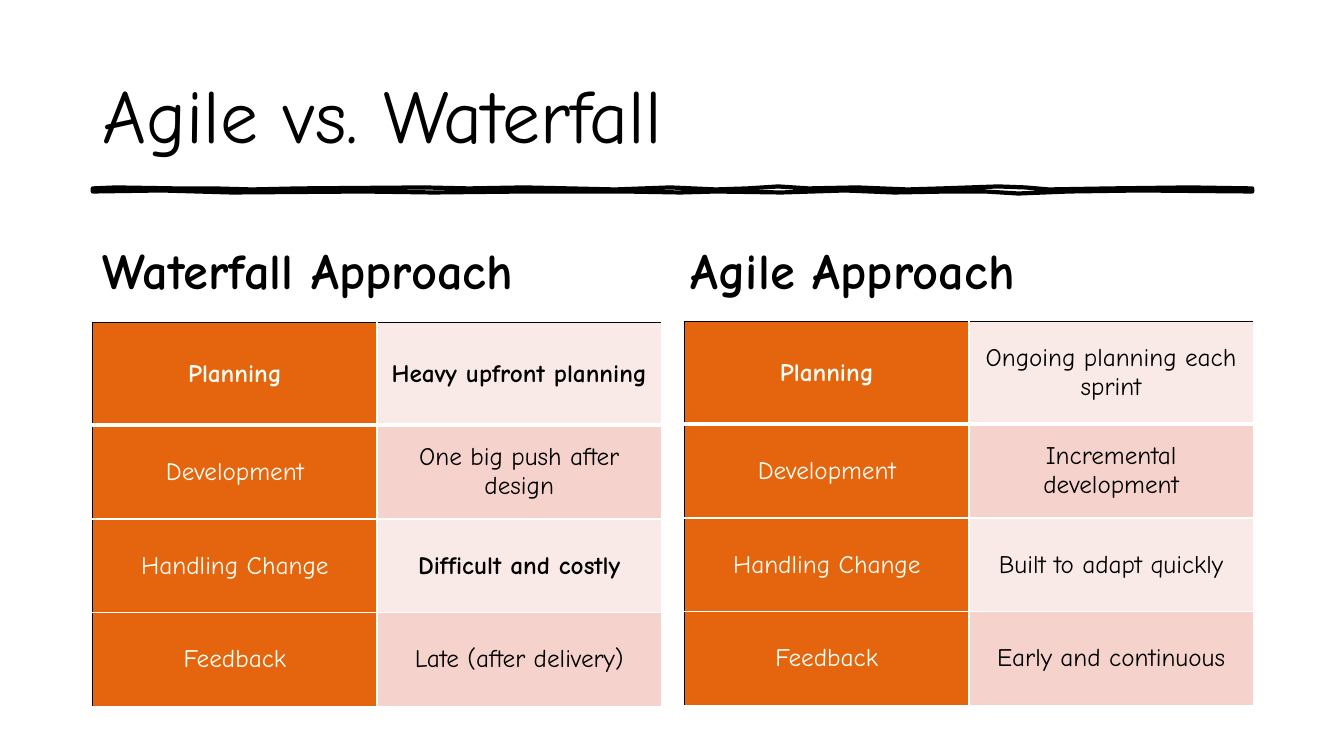
from lxml.etree import SubElement
from pptx import Presentation
from pptx.dml.color import RGBColor
from pptx.enum.text import MSO_ANCHOR as ANCHOR, PP_ALIGN as ALIGN
from pptx.oxml.ns import qn
from pptx.util import Inches, Pt

FONT = "Comic Neue"
BLACK = RGBColor(0x00, 0x00, 0x00)
WHITE = RGBColor(0xFF, 0xFF, 0xFF)
CREAM = RGBColor(0xFD, 0xFF, 0xF7)
ORANGE = RGBColor(0xE4, 0x65, 0x0E)
BANDS = [RGBColor(0xFA, 0xEA, 0xE7), RGBColor(0xF5, 0xD3, 0xCC)]

TOPICS = ["Planning", "Development", "Handling Change", "Feedback"]
BOLD = {"Planning", "Heavy upfront planning", "Difficult and costly"}
# heading, heading left, heading width, table left, table top, answers
APPROACHES = [
    ("Waterfall Approach", 0.92, 5.64, 0.92, 3.2,
     ["Heavy upfront planning", "One big push after design",
      "Difficult and costly", "Late (after delivery)"]),
    ("Agile Approach", 6.75, 5.67, 6.79, 3.19,
     ["Ongoing planning each sprint", "Incremental development",
      "Built to adapt quickly", "Early and continuous"]),
]
# Upper edge left to right, then lower edge right to left
RULE = [
    (0.92, 1.87), (1.15, 1.86), (1.75, 1.87), (2.12, 1.87), (2.5, 1.88),
    (2.96, 1.87), (4.2, 1.86), (4.65, 1.87), (5.2, 1.86), (5.65, 1.87),
    (6.1, 1.88), (6.65, 1.86), (7.1, 1.88), (7.41, 1.87), (7.72, 1.85),
    (8.02, 1.87), (8.5, 1.86), (9, 1.88), (9.34, 1.87), (9.9, 1.85),
    (10.17, 1.86), (10.4, 1.88), (11.01, 1.87), (11.8, 1.86), (12.42, 1.87),
    (12.42, 1.9), (11.3, 1.89), (10.6, 1.9), (10.1, 1.92), (9.77, 1.9),
    (9.4, 1.9), (8.87, 1.91), (8.38, 1.89), (7.75, 1.91), (7.1, 1.9),
    (6.75, 1.91), (6.2, 1.9), (5.2, 1.9), (4.3, 1.91), (3.6, 1.9),
    (2.3, 1.91), (1.6, 1.89), (0.92, 1.9),
]


def write(tf, text, size, color=BLACK, bold=False, align=ALIGN.LEFT):
    p = tf.paragraphs[0]
    p.alignment = align
    r = p.add_run()
    r.text = text
    for name, value in {"name": FONT, "size": Pt(size), "bold": bold}.items():
        setattr(r.font, name, value)
    r.font.color.rgb = color
    return p


def set_borders(cell, borders):
    """Draw the cell's sides; borders maps L, R, T, B to colour and points."""
    tc_pr = cell._tc.get_or_add_tcPr()
    for side, (color, width) in borders.items():
        ln = SubElement(tc_pr, qn(f"a:ln{side}"), w=str(Pt(width)))
        fill = SubElement(ln, qn("a:solidFill"))
        SubElement(fill, qn("a:srgbClr"), val=str(color))


prs = Presentation()
prs.slide_width, prs.slide_height = Inches(13.33), Inches(7.5)
s = prs.slides.add_slide(prs.slide_layouts[6])

# Hand-drawn rule under the title
points = [(Inches(x), Inches(y)) for x, y in RULE]
builder = s.shapes.build_freeform(*points[0])
builder.add_line_segments(points[1:], close=True)
rule = builder.convert_to_shape()
rule.shadow.inherit = False
rule.fill.background()
rule.line.color.rgb = BLACK
rule.line.width = Pt(3)

# Title and headings
texts = [("Agile vs. Waterfall", 0.92, 0.4, 11.5, 1.45, 54, False, ANCHOR.MIDDLE)]
for heading, left, width, *_ in APPROACHES:
    texts.append((heading, left, 2.12, width, 0.9, 36, True, ANCHOR.BOTTOM))
for text, left, top, width, height, size, bold, anchor in texts:
    box = s.shapes.add_textbox(*map(Inches, (left, top, width, height)))
    tf = box.text_frame
    tf.word_wrap = True
    tf.vertical_anchor = anchor
    p = write(tf, text, size, bold=bold)
    if bold:
        p.line_spacing = 1.1
        p.space_before = Pt(10)

# Comparison tables
for _, _, _, left, top, answers in APPROACHES:
    table = s.shapes.add_table(4, 2, Inches(left), Inches(top),
                               Inches(5.64), Inches(3.81)).table
    table.first_row = table.horz_banding = False
    for i, row in enumerate(zip(TOPICS, answers)):
        table.rows[i].height = Inches(0.93 if i else 1.02)
        for j, text in enumerate(row):
            cell = table.cell(i, j)
            set_borders(cell, {
                "L": (WHITE if j else BLACK, 1),
                "R": (WHITE, 1),
                "T": (WHITE, 3 if i == 1 else 1) if i else (BLACK, 1),
                "B": (WHITE, 1 if i else 3),
            })
            cell.fill.solid()
            cell.fill.fore_color.rgb = BANDS[i % 2] if j else ORANGE
            cell.vertical_anchor = ANCHOR.MIDDLE
            write(cell.text_frame, text, 18, BLACK if j else CREAM,
                  text in BOLD, ALIGN.CENTER)

prs.save("out.pptx")
